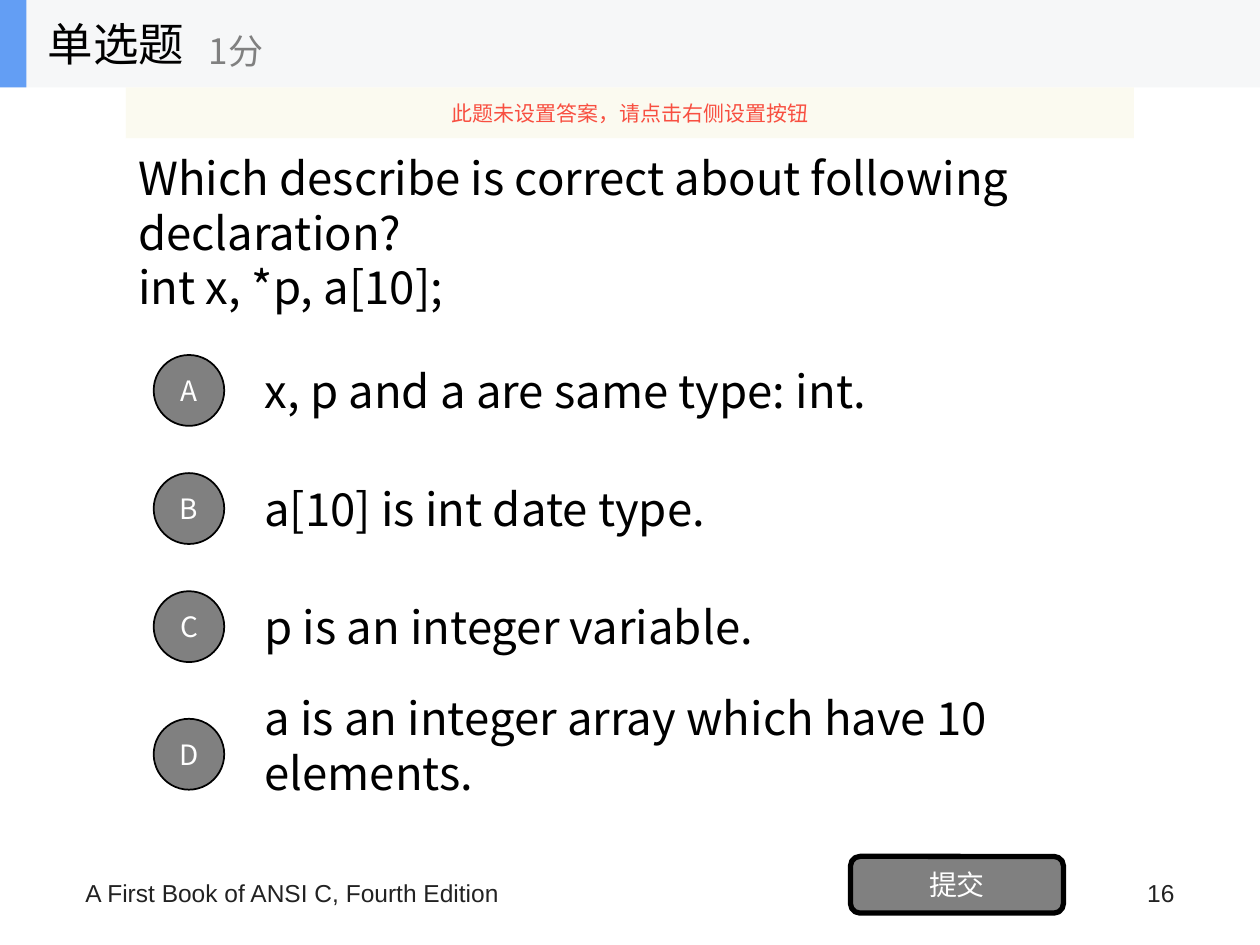
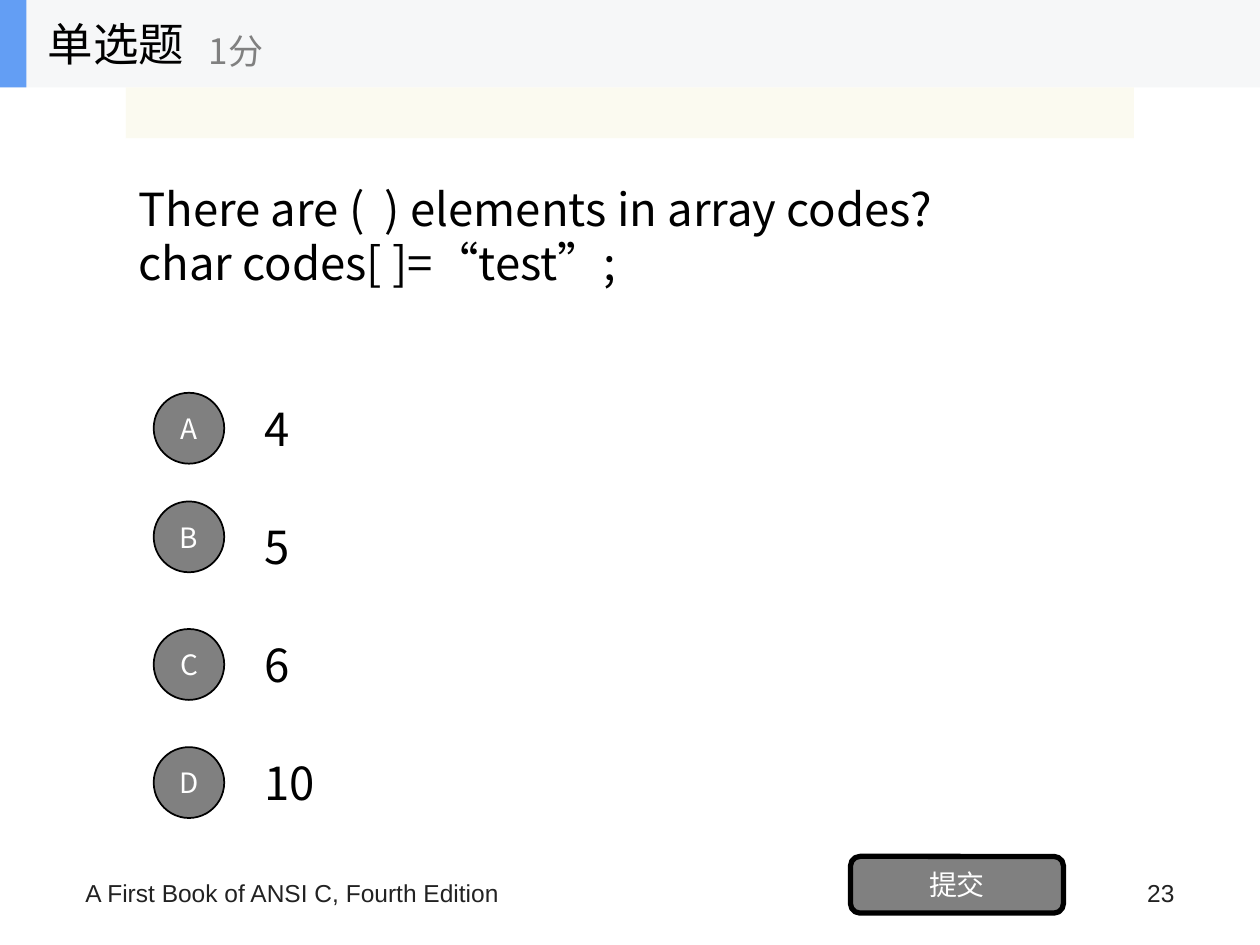
import dataclasses

import pptx
import pptx.dml.color
import pptx.enum.shapes
import pptx.enum.text
import pptx.oxml.ns
import pptx.util
from lxml import etree

SHAPE = pptx.enum.shapes.MSO_SHAPE
ALIGN = pptx.enum.text.PP_ALIGN
ANCHOR = pptx.enum.text.MSO_ANCHOR
WIDTH, HEIGHT = pptx.util.Inches(10), pptx.util.Inches(7.5)
COLUMNS, ROWS = 10, 8
HEADER_ROWS = 0.74
OPTION_ROWS = 0.75
BADGE_COLUMNS, BADGE_ROWS = 0.56, 0.6


@dataclasses.dataclass(frozen=True)
class Theme:
    """Colours, fonts and text formats of the quiz."""
    header: str = "F6F7F8"
    accent: str = "639EF4"
    notice: str = "FBFAEF"
    button: str = "808080"
    outline: str = "000000"
    body_font: str = "Noto Sans CJK SC"
    footer_font: str = "Arial"

    def text(self, role):
        """Return the font values for a role."""
        size, color, name = {
            "body": (26, "000000", self.body_font),
            "score": (20, "808080", self.body_font),
            "button": (16, "FFFFFF", self.body_font),
            "notice": (12, "F84F41", self.body_font),
            "footer": (14, "222222", self.footer_font),
        }[role]
        return {"size": pptx.util.Pt(size), "name": name}, color


THEME = Theme()


def rgb(color):
    """Turn a hex string into a colour."""
    return pptx.dml.color.RGBColor.from_string(color)


def cells(left, top, width, height):
    """Turn columns and rows into slide lengths."""
    return (int(left * WIDTH / COLUMNS), int(top * HEIGHT / ROWS),
            int(width * WIDTH / COLUMNS), int(height * HEIGHT / ROWS))


def write(shape, lines, role, align=ALIGN.LEFT, anchor=ANCHOR.MIDDLE, inset=True):
    """Fill a shape with formatted paragraphs."""
    frame = shape.text_frame
    side, edge = (pptx.util.Inches(0.1), pptx.util.Inches(0.05)) if inset else (0, 0)
    frame_format = {"word_wrap": True, "vertical_anchor": anchor,
                    "margin_left": side, "margin_right": side,
                    "margin_top": edge, "margin_bottom": edge}
    for name, value in frame_format.items():
        setattr(frame, name, value)
    values, color = THEME.text(role)
    for index, line in enumerate(lines):
        paragraph = frame.paragraphs[0] if index == 0 else frame.add_paragraph()
        paragraph.alignment = align
        run = paragraph.add_run()
        run.text = line
        for name, value in values.items():
            setattr(run.font, name, value)
        run.font.color.rgb = rgb(color)
        etree.SubElement(run._r.get_or_add_rPr(), pptx.oxml.ns.qn("a:ea"),
                         typeface=values["name"])


def add_text(shapes, area, lines, role, **layout):
    """Add a text box on the grid."""
    write(shapes.add_textbox(*cells(*area)), lines, role, **layout)


def add_block(shapes, kind, area, fill, line_width=0):
    """Add a filled shape, outlined when a line width is given."""
    shape = shapes.add_shape(kind, *cells(*area))
    shape.shadow.inherit = False
    shape.fill.solid()
    shape.fill.fore_color.rgb = rgb(fill)
    if line_width:
        shape.line.color.rgb = rgb(THEME.outline)
        shape.line.width = pptx.util.Pt(line_width)
    else:
        shape.line.fill.background()
    return shape


def add_button(slide, kind, area, label, line_width):
    """Add a grey button with a centred label."""
    shape = add_block(slide.shapes, kind, area, THEME.button, line_width)
    write(shape, [label], "button", align=ALIGN.CENTER, inset=False)


def add_header(slide):
    """Add the grouped title band with the question type and score."""
    shapes = slide.shapes.add_group_shape().shapes
    add_block(shapes, SHAPE.RECTANGLE, (0, 0, COLUMNS, HEADER_ROWS), THEME.header)
    add_block(shapes, SHAPE.RECTANGLE, (0, 0, 0.21, HEADER_ROWS), THEME.accent)
    add_text(shapes, (0.28, 0, 2.08, HEADER_ROWS), ["单选题"], "body")
    add_text(shapes, (1.56, 0.13, 2.5, 0.6), ["1分"], "score")


def add_notice(slide, message):
    """Add the translucent notice strip below the header."""
    strip = add_block(slide.shapes, SHAPE.RECTANGLE, (1, HEADER_ROWS, 8, 0.43), THEME.notice)
    color = strip.fill._xPr.find(".//" + pptx.oxml.ns.qn("a:srgbClr"))
    etree.SubElement(color, pptx.oxml.ns.qn("a:alpha"), val="90000")
    if message:
        write(strip, [message], "notice", align=ALIGN.CENTER)


def add_options(slide, first_row, answers, badge_shifts):
    """Add lettered answers, one grid row apart."""
    for index, (letter, answer) in enumerate(zip("ABCD", answers)):
        top = first_row + index
        add_text(slide.shapes, (2, top, 7, OPTION_ROWS), [answer], "body")
        badge_top = top + (OPTION_ROWS - BADGE_ROWS) / 2 + badge_shifts.get(letter, 0)
        add_button(slide, SHAPE.OVAL, (1.22, badge_top, BADGE_COLUMNS, BADGE_ROWS), letter, 1)


def add_footer(slide, number):
    """Add the book title and the page number."""
    add_text(slide.shapes, (0.58, 7.38, 6.42, 0.45),
             ["A First Book of ANSI C, Fourth Edition"], "footer", anchor=ANCHOR.TOP)
    add_text(slide.shapes, (7.17, 7.38, 2.25, 0.45), [number], "footer",
             align=ALIGN.RIGHT, anchor=ANCHOR.TOP)


def add_question(presentation, number, question, question_rows, first_row, answers,
                 badge_shifts, message=""):
    """Add one single-choice question slide."""
    slide = presentation.slides.add_slide(presentation.slide_layouts[6])
    add_footer(slide, number)
    add_text(slide.shapes, (1, HEADER_ROWS, 8, question_rows), question, "body")
    add_options(slide, first_row, answers, badge_shifts)
    add_button(slide, SHAPE.ROUNDED_RECTANGLE, (6.75, 7.25, 1.69, 0.48), "提交", 3)
    add_header(slide)
    add_notice(slide, message)


def main():
    """Build and save the quiz slides."""
    presentation = pptx.Presentation()
    presentation.slide_width, presentation.slide_height = WIDTH, HEIGHT
    add_question(
        presentation, "16",
        ["Which describe is correct about following declaration?", "int x, *p, a[10];"],
        2.45, 2.93,
        ["x, p and a are same type: int.", "a[10] is int date type.",
         "p is an integer variable.", "a is an integer array which have 10 elements."],
        {"D": 0.08}, "此题未设置答案，请点击右侧设置按钮")
    add_question(
        presentation, "23",
        ["There are (  ) elements in array codes?", "char codes[ ]=“test”;"],
        2.5, 3.25, ["4", "5", "6", "10"], {"B": -0.08})
    presentation.save("out.pptx")


if __name__ == "__main__":
    main()
